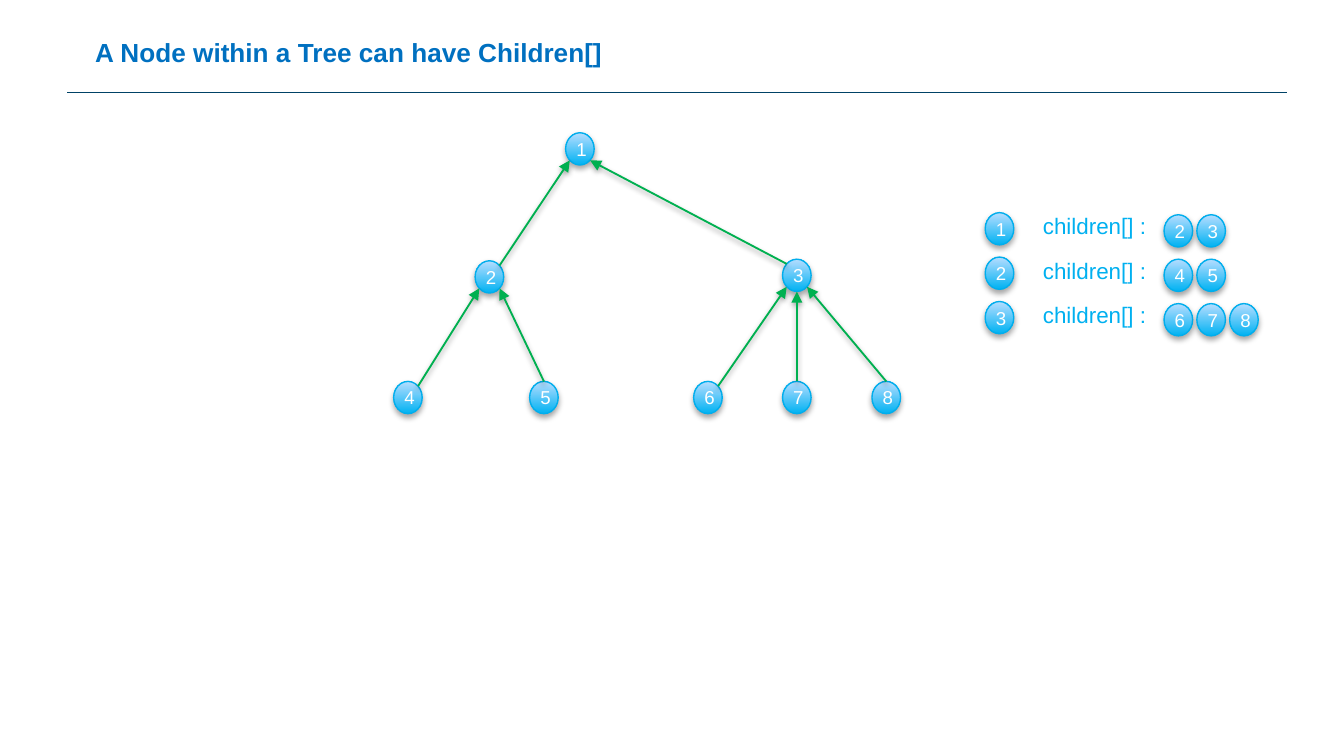
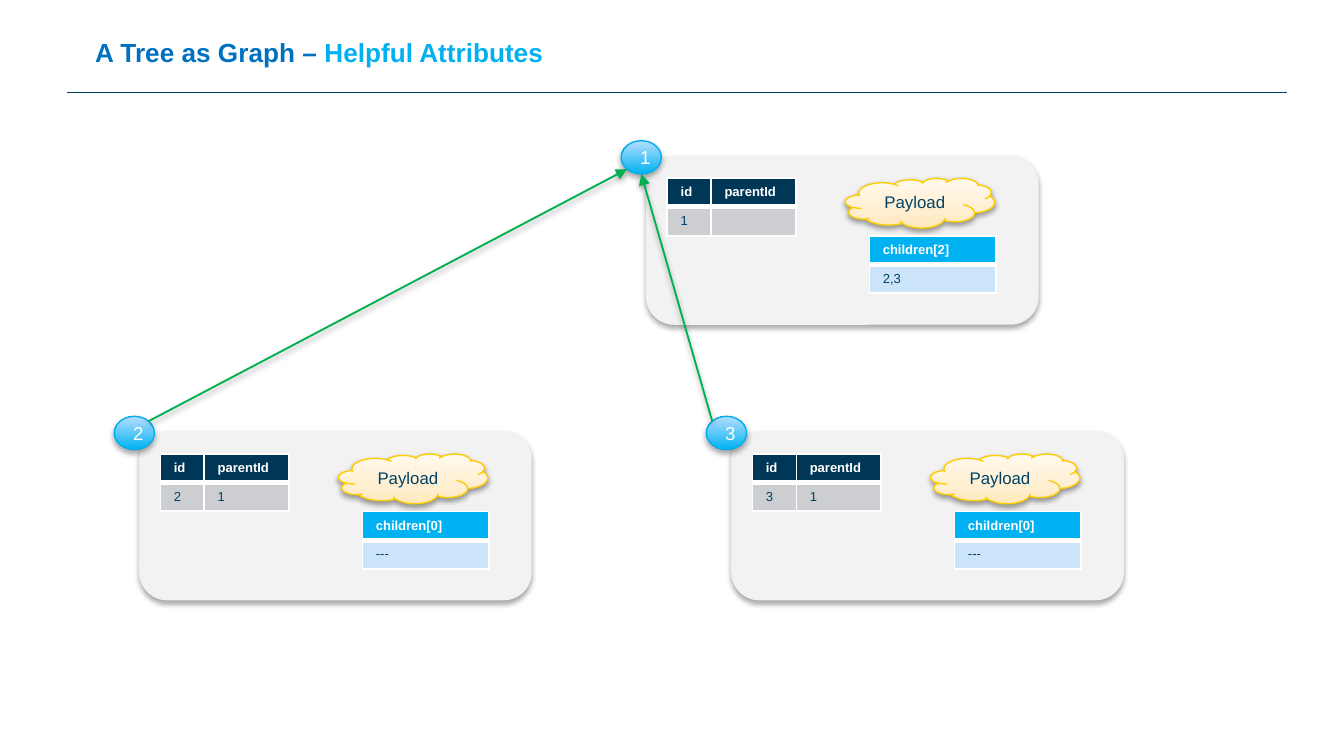
from lxml.etree import SubElement
from pptx import Presentation
from pptx.dml.color import RGBColor
from pptx.enum.shapes import MSO_CONNECTOR, MSO_SHAPE
from pptx.enum.text import MSO_ANCHOR, PP_ALIGN
from pptx.oxml.ns import qn
from pptx.util import Cm, Pt

FONT = "Arial"
WHITE = RGBColor(0xFF, 0xFF, 0xFF)
BLACK = RGBColor(0x00, 0x00, 0x00)
TITLE_BLUE = RGBColor(0x00, 0x70, 0xC0)
ACCENT_BLUE = RGBColor(0x00, 0xB0, 0xF0)
INK = RGBColor(0x00, 0x42, 0x66)
NODE_LINE = RGBColor(0x00, 0xAE, 0xED)
NODE_DARK = RGBColor(0x00, 0xB2, 0xF2)
NODE_LIGHT = RGBColor(0xB6, 0xDD, 0xFF)
ARROW_GREEN = RGBColor(0x00, 0xB0, 0x50)
CARD_GREY = RGBColor(0xF2, 0xF2, 0xF2)
CLOUD_LINE = RGBColor(0xFC, 0xCD, 0x00)
ID_HEAD = RGBColor(0x00, 0x37, 0x56)
ID_BODY = RGBColor(0xCC, 0xCE, 0xD1)
CHILDREN_BODY = RGBColor(0xCC, 0xE4, 0xFA)

NODE_STOPS = [(0, NODE_DARK), (100, NODE_LIGHT)]
CLOUD_STOPS = [
    (0, RGBColor(0xFF, 0xE9, 0xBD)),
    (35, RGBColor(0xFF, 0xEF, 0xD1)),
    (100, RGBColor(0xFF, 0xF9, 0xEE)),
]
DIAGONAL = 0.71
SITES = {
    "top": (0, -1),
    "bottom": (0, 1),
    "top left": (-DIAGONAL, -DIAGONAL),
    "top right": (DIAGONAL, -DIAGONAL),
    "bottom left": (-DIAGONAL, DIAGONAL),
    "bottom right": (DIAGONAL, DIAGONAL),
}

TREE_NODES = {
    1: (3.25, 0), 2: (1.54, 2.42), 3: (7.35, 2.39),
    4: (0, 4.7), 5: (2.57, 4.7), 6: (5.67, 4.7), 7: (7.35, 4.7), 8: (9.04, 4.7),
}
TREE_EDGES = [
    (1, "bottom left", 2, "top right"),
    (2, "bottom left", 4, "top right"),
    (2, "bottom right", 5, "top"),
    (1, "bottom right", 3, "top left"),
    (3, "bottom left", 6, "top right"),
    (3, "bottom", 7, "top"),
    (3, "bottom right", 8, "top"),
]
CHILDREN = {1: [2, 3], 2: [4, 5], 3: [6, 7, 8]}

CARDS = {
    1: (12.21, 2.94, "", "children[2]", "2,3"),
    2: (2.63, 8.15, "1", "children[0]", "---"),
    3: (13.82, 8.15, "1", "children[0]", "---"),
}
CARD_EDGES = [(1, "bottom left", 2, "top right"), (1, "bottom", 3, "top left")]


def write(paragraph, text, size=10, color=WHITE, bold=False, align=PP_ALIGN.LEFT):
    """Add a formatted run to a paragraph."""
    paragraph.alignment = align
    run = paragraph.add_run()
    run.text = text
    run.font.name = FONT
    run.font.size = Pt(size)
    run.font.bold = bold
    run.font.color.rgb = color


def set_margins(frame, left=0, right=0, top=0, bottom=0):
    """Set the insets of a text frame in centimetres."""
    frame.margin_left, frame.margin_right = Cm(left), Cm(right)
    frame.margin_top, frame.margin_bottom = Cm(top), Cm(bottom)


def add_shadow(item, alpha, distance):
    """Give a shape or connector a soft shadow below it."""
    effects = SubElement(item._element.spPr, qn("a:effectLst"))
    shadow = SubElement(
        effects, qn("a:outerShdw"), blurRad=str(Pt(3.1)), dist=str(Pt(distance)),
        dir="5400000", rotWithShape="0",
    )
    color = SubElement(shadow, qn("a:srgbClr"), val=str(BLACK))
    SubElement(color, qn("a:alpha"), val=str(alpha * 1000))


def fill_gradient(shape, stops):
    """Fill a shape from bottom to top with the given stops."""
    shape.fill.gradient()
    shape.fill.gradient_angle = 90
    stop_list = shape._element.spPr.find(".//" + qn("a:gsLst"))
    for old_stop in list(stop_list):
        stop_list.remove(old_stop)
    for position, color in stops:
        stop = SubElement(stop_list, qn("a:gs"), pos=str(position * 1000))
        SubElement(stop, qn("a:srgbClr"), val=str(color))


def add_bubble(slide, kind, box, text, stops, outline, shadow, inset=0, **style):
    """Draw a gradient shape with centred text."""
    bubble = slide.shapes.add_shape(kind, *map(Cm, box))
    fill_gradient(bubble, stops)
    bubble.line.color.rgb = outline
    bubble.line.width = Pt(0.75)
    add_shadow(bubble, *shadow)
    frame = bubble.text_frame
    frame.word_wrap = False
    frame.vertical_anchor = MSO_ANCHOR.MIDDLE
    set_margins(frame, left=inset)
    write(frame.paragraphs[0], text, align=PP_ALIGN.CENTER, **style)
    return bubble


def add_node(slide, left, top, number, width=0.54, height=0.61, inset=0.06):
    """Draw a numbered tree node."""
    return add_bubble(
        slide, MSO_SHAPE.OVAL, (left, top, width, height), str(number),
        NODE_STOPS, NODE_LINE, (35, 1.8), inset,
    )


def site_point(node, site):
    """Return the point of a node's outline in the given direction."""
    across, down = SITES[site]
    x = node.left + node.width * (1 + across) / 2
    y = node.top + node.height * (1 + down) / 2
    return int(x), int(y)


def add_edges(slide, nodes, edges):
    """Draw an arrow to each parent from its child."""
    for parent, parent_site, child, child_site in edges:
        edge = slide.shapes.add_connector(
            MSO_CONNECTOR.STRAIGHT,
            *site_point(nodes[parent], parent_site),
            *site_point(nodes[child], child_site),
        )
        edge.line.color.rgb = ARROW_GREEN
        edge.line.width = Pt(1)
        SubElement(edge.line._get_or_add_ln(), qn("a:headEnd"), type="triangle")
        add_shadow(edge, 38, 1.6)


def add_titled_slide(deck, width, title_parts):
    """Add a slide with its title and the rule below it."""
    slide = deck.slides.add_slide(deck.slide_layouts[5])
    title = slide.shapes.title
    title.left, title.top, title.width, title.height = map(Cm, (1.55, 0.56, width, 0.86))
    frame = title.text_frame
    frame.word_wrap = False
    frame.vertical_anchor = MSO_ANCHOR.MIDDLE
    set_margins(frame, 0.25, 0.25, 0.13, 0.13)
    for text, color in title_parts:
        write(frame.paragraphs[0], text, size=14, color=color, bold=True)
    rule = slide.shapes.add_connector(
        MSO_CONNECTOR.STRAIGHT, Cm(1.27), Cm(1.75), Cm(24.33), Cm(1.75)
    )
    rule.line.color.rgb = INK
    rule.line.width = Pt(0.75)
    SubElement(rule._element.spPr, qn("a:effectLst"))
    return slide


def add_tree(slide, left, top):
    """Draw the tree of eight nodes."""
    nodes = {
        number: add_node(slide, left + x, top + y, number)
        for number, (x, y) in TREE_NODES.items()
    }
    add_edges(slide, nodes, TREE_EDGES)


def add_children_list(slide, left, top):
    """List the children of each inner node."""
    for row, (parent, children) in enumerate(CHILDREN.items()):
        row_top = top + row * 0.84
        add_node(slide, left, row_top, parent)
        label = slide.shapes.add_textbox(
            Cm(left + 0.84), Cm(row_top - 0.64), Cm(2.59), Cm(1.27)
        )
        label.text_frame.word_wrap = False
        label.text_frame.vertical_anchor = MSO_ANCHOR.BOTTOM
        write(label.text_frame.paragraphs[0], "children[] :", size=12, color=ACCENT_BLUE)
        for column, child in enumerate(children):
            add_node(slide, left + 3.38 + column * 0.62, row_top + 0.04, child)


def add_borders(cell, **widths):
    """Draw white cell borders with widths in points."""
    properties = cell._tc.get_or_add_tcPr()
    for side in "LRTB":
        border = SubElement(
            properties, qn("a:ln" + side), w=str(Pt(widths.get(side, 1)))
        )
        fill = SubElement(border, qn("a:solidFill"))
        SubElement(fill, qn("a:srgbClr"), val=str(WHITE))


def add_attributes(slide, left, top, widths, rows, fills):
    """Draw a table with one header row and one value row."""
    row_height = 0.54
    table = slide.shapes.add_table(
        len(rows), len(widths), Cm(left), Cm(top),
        Cm(sum(widths)), Cm(row_height * len(rows)),
    ).table
    table.horz_banding = False
    for column, width in zip(table.columns, widths):
        column.width = Cm(width)
    for index, values in enumerate(rows):
        is_header = index == 0
        table.rows[index].height = Cm(row_height)
        for column, value in enumerate(values):
            cell = table.cell(index, column)
            add_borders(cell, **({"B": 3} if is_header else {"T": 3}))
            cell.fill.solid()
            cell.fill.fore_color.rgb = fills[index]
            paragraph = cell.text_frame.paragraphs[0]
            if value:
                write(paragraph, value, size=7, color=WHITE if is_header else INK,
                      bold=is_header)
            SubElement(paragraph._p, qn("a:endParaRPr"), sz="700")


def add_card(slide, left, top, number, parent, children_head, children):
    """Draw a node's card with its attributes and return the node."""
    card = slide.shapes.add_shape(
        MSO_SHAPE.ROUNDED_RECTANGLE, Cm(left), Cm(top), Cm(7.42), Cm(3.2)
    )
    card.fill.solid()
    card.fill.fore_color.rgb = CARD_GREY
    card.line.fill.background()
    add_shadow(card, 35, 1.8)
    node = add_node(slide, left - 0.47, top - 0.28, number, 0.76, 0.63, inset=0.15)
    add_bubble(
        slide, MSO_SHAPE.CLOUD, (left + 3.77, top + 0.43, 2.82, 0.94), "Payload",
        CLOUD_STOPS, CLOUD_LINE, (38, 1.6), size=9, color=INK,
    )
    add_attributes(
        slide, left + 4.22, top + 1.52, [2.39],
        [[children_head], [children]], [NODE_DARK, CHILDREN_BODY],
    )
    add_attributes(
        slide, left + 0.4, top + 0.43, [0.83, 1.6],
        [["id", "parentId"], [str(number), parent]], [ID_HEAD, ID_BODY],
    )
    return node


def main():
    """Build both slides and save the deck."""
    deck = Presentation()
    deck.slide_width, deck.slide_height = Cm(25.4), Cm(14.29)

    children_slide = add_titled_slide(
        deck, 10.13, [("A Node within a Tree can have Children[]", TITLE_BLUE)]
    )
    add_children_list(children_slide, 18.62, 4.02)
    add_tree(children_slide, 7.44, 2.51)

    graph_slide = add_titled_slide(
        deck, 9.02,
        [("A Tree as Graph – ", TITLE_BLUE), ("Helpful Attributes", ACCENT_BLUE)],
    )
    nodes = {
        number: add_card(graph_slide, left, top, number, *attributes)
        for number, (left, top, *attributes) in CARDS.items()
    }
    add_edges(graph_slide, nodes, CARD_EDGES)
    deck.save("out.pptx")


if __name__ == "__main__":
    main()
